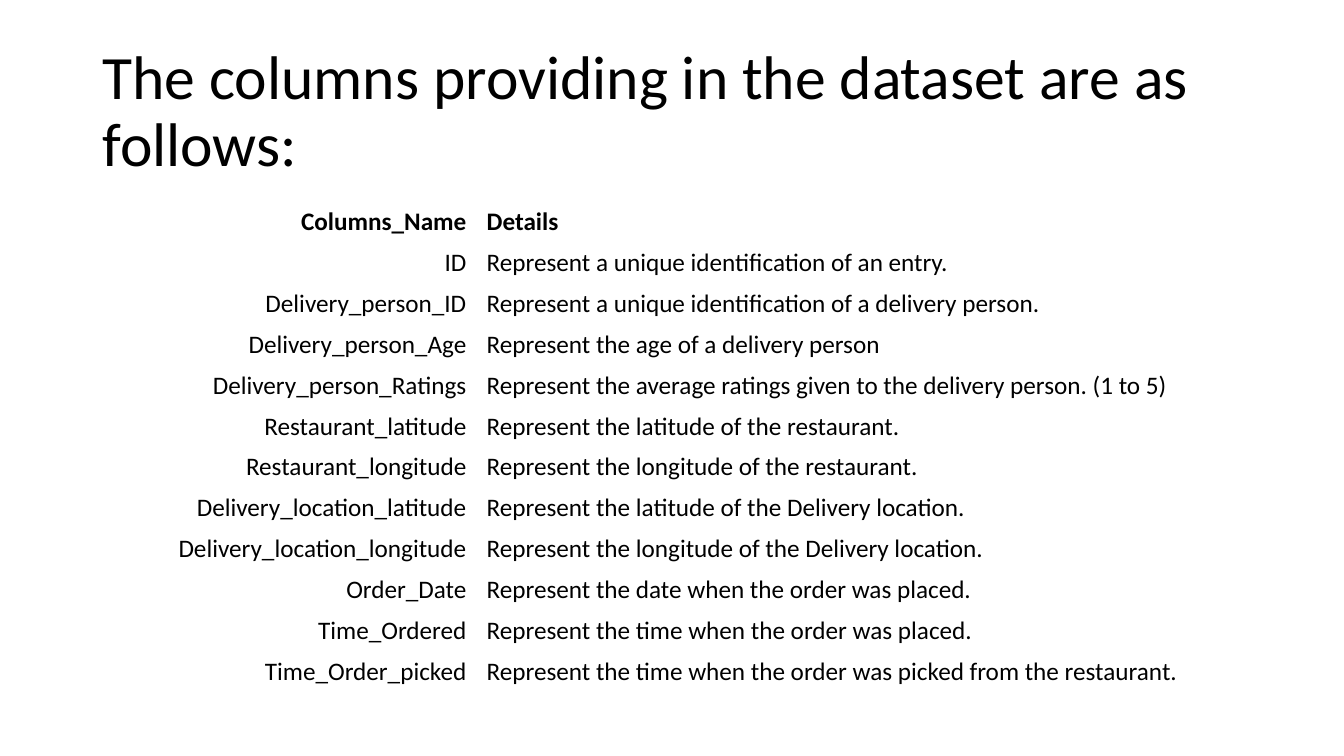
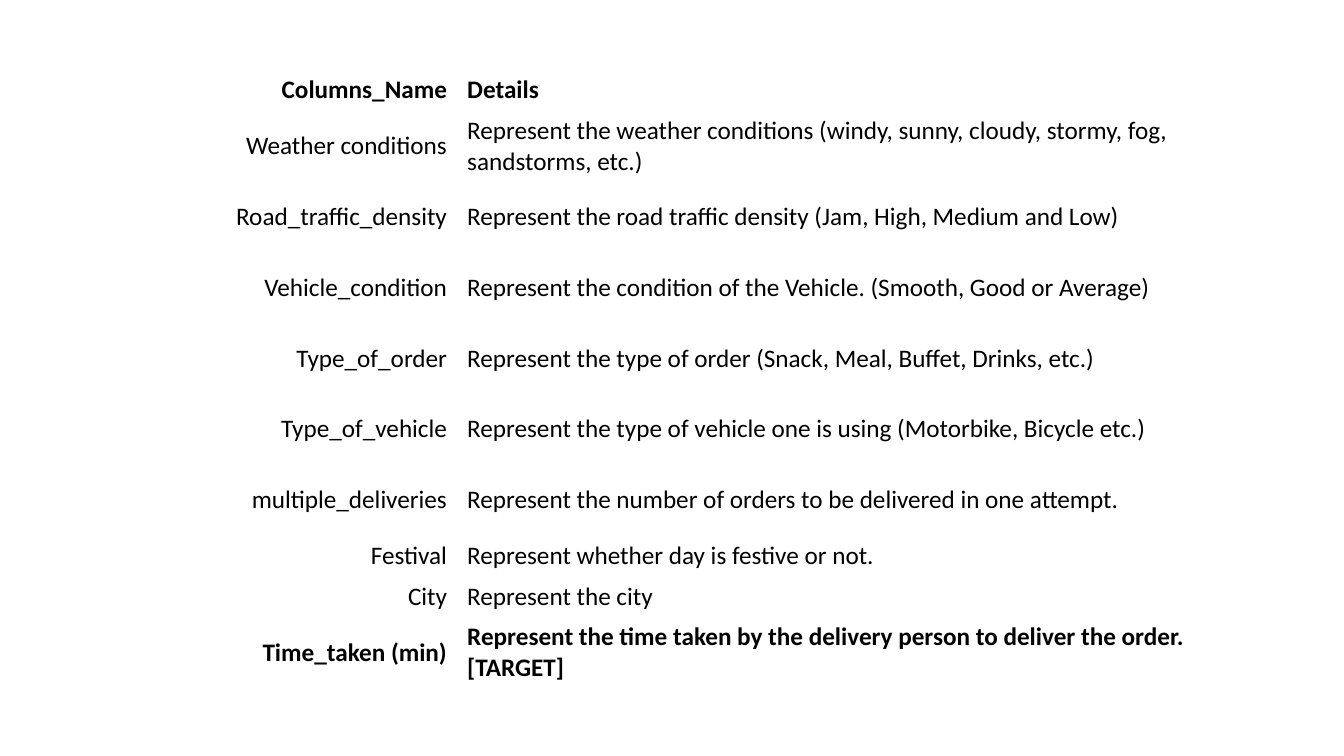
import pptx
import pptx.dml.color
import pptx.enum.text
import pptx.util

Cm = pptx.util.Cm
ALIGN = pptx.enum.text.PP_ALIGN
ANCHOR = pptx.enum.text.MSO_ANCHOR

COLORS = {"text": "000000", "background": "FFFFFF"}
FONT = "Calibri"
HEADINGS = ("Columns_Name", "Details")
TARGET = "Time_taken (min)"
TITLE_ONLY, BLANK = 5, 6


def write(frame, text, size=18, bold=False, align=ALIGN.LEFT, spacing=None):
    frame.word_wrap = True
    paragraph = frame.paragraphs[0]
    paragraph.alignment = align
    paragraph.line_spacing = spacing
    run = paragraph.add_run()
    run.text = text
    run.font.name = FONT
    run.font.size = pptx.util.Pt(size)
    run.font.bold = bold
    run.font.color.rgb = pptx.dml.color.RGBColor.from_string(COLORS["text"])


class Deck:
    left, width = 2.33, 29.21
    single_row, double_row = 1.03, 1.78

    def __init__(self):
        self.presentation = pptx.Presentation()
        self.presentation.slide_width = Cm(33.87)
        self.presentation.slide_height = Cm(19.05)
        self.slide = None

    def add_slide(self, layout):
        layouts = self.presentation.slide_layouts
        self.slide = self.presentation.slides.add_slide(layouts[layout])
        fill = self.slide.background.fill
        fill.solid()
        fill.fore_color.rgb = pptx.dml.color.RGBColor.from_string(COLORS["background"])

    def title(self, text):
        heading = self.slide.shapes.title
        heading.left, heading.top = Cm(self.left), Cm(1.01)
        heading.width, heading.height = Cm(self.width), Cm(3.68)
        frame = heading.text_frame
        frame.auto_size = pptx.enum.text.MSO_AUTO_SIZE.NONE
        frame.vertical_anchor = ANCHOR.MIDDLE
        write(frame, text, size=44, spacing=0.9)

    def column_guide(self, entries, top, name_width, tall_rows=()):
        rows = [HEADINGS, *entries]
        heights = [
            self.double_row if name in tall_rows else self.single_row
            for name, _ in rows
        ]
        guide = self.slide.shapes.add_table(
            len(rows), 2, Cm(self.left), Cm(top), Cm(self.width), Cm(sum(heights))
        ).table
        guide.first_row = False
        guide.horz_banding = False
        guide.columns[0].width = Cm(name_width)
        guide.columns[1].width = Cm(self.width - name_width)
        for index, entry in enumerate(rows):
            guide.rows[index].height = Cm(heights[index])
            bold = entry[0] in (HEADINGS[0], TARGET)
            for column, align in enumerate((ALIGN.RIGHT, ALIGN.LEFT)):
                cell = guide.cell(index, column)
                cell.fill.background()
                cell.vertical_anchor = ANCHOR.MIDDLE
                write(cell.text_frame, entry[column], bold=bold, align=align)


order_columns = [
    ("ID", "Represent a unique identification of an entry."),
    ("Delivery_person_ID", "Represent a unique identification of a delivery person."),
    ("Delivery_person_Age", "Represent the age of a delivery person"),
    (
        "Delivery_person_Ratings",
        "Represent the average ratings given to the delivery person. (1 to 5)",
    ),
    ("Restaurant_latitude", "Represent the latitude of the restaurant."),
    ("Restaurant_longitude", "Represent the longitude of the restaurant."),
    ("Delivery_location_latitude", "Represent the latitude of the Delivery location."),
    ("Delivery_location_longitude", "Represent the longitude of the Delivery location."),
    ("Order_Date", "Represent the date when the order was placed."),
    ("Time_Ordered", "Represent the time when the order was placed."),
    (
        "Time_Order_picked",
        "Represent the time when the order was picked from the restaurant.",
    ),
]

condition_columns = [
    (
        "Weather conditions",
        "Represent the weather conditions (windy, sunny, cloudy, stormy, fog, "
        "sandstorms, etc.)",
    ),
    (
        "Road_traffic_density",
        "Represent the road traffic density (Jam, High, Medium and Low)",
    ),
    (
        "Vehicle_condition",
        "Represent the condition of the Vehicle. (Smooth, Good or Average)",
    ),
    ("Type_of_order", "Represent the type of order (Snack, Meal, Buffet, Drinks, etc.)"),
    (
        "Type_of_vehicle",
        "Represent the type of vehicle one is using (Motorbike, Bicycle etc.)",
    ),
    (
        "multiple_deliveries",
        "Represent the number of orders to be delivered in one attempt.",
    ),
    ("Festival", "Represent whether day is festive or not."),
    ("City", "Represent the city"),
    (
        TARGET,
        "Represent the time taken by the delivery person to deliver the order. [TARGET]",
    ),
]

deck = Deck()

deck.add_slide(TITLE_ONLY)
deck.title("The columns providing in the dataset are as follows:")
deck.column_guide(order_columns, top=5.08, name_width=9.68)

deck.add_slide(BLANK)
tall_names = {name for name, _ in condition_columns} - {"Festival", "City"}
deck.column_guide(condition_columns, top=1.75, name_width=9.19, tall_rows=tall_names)

deck.presentation.save("out.pptx")
